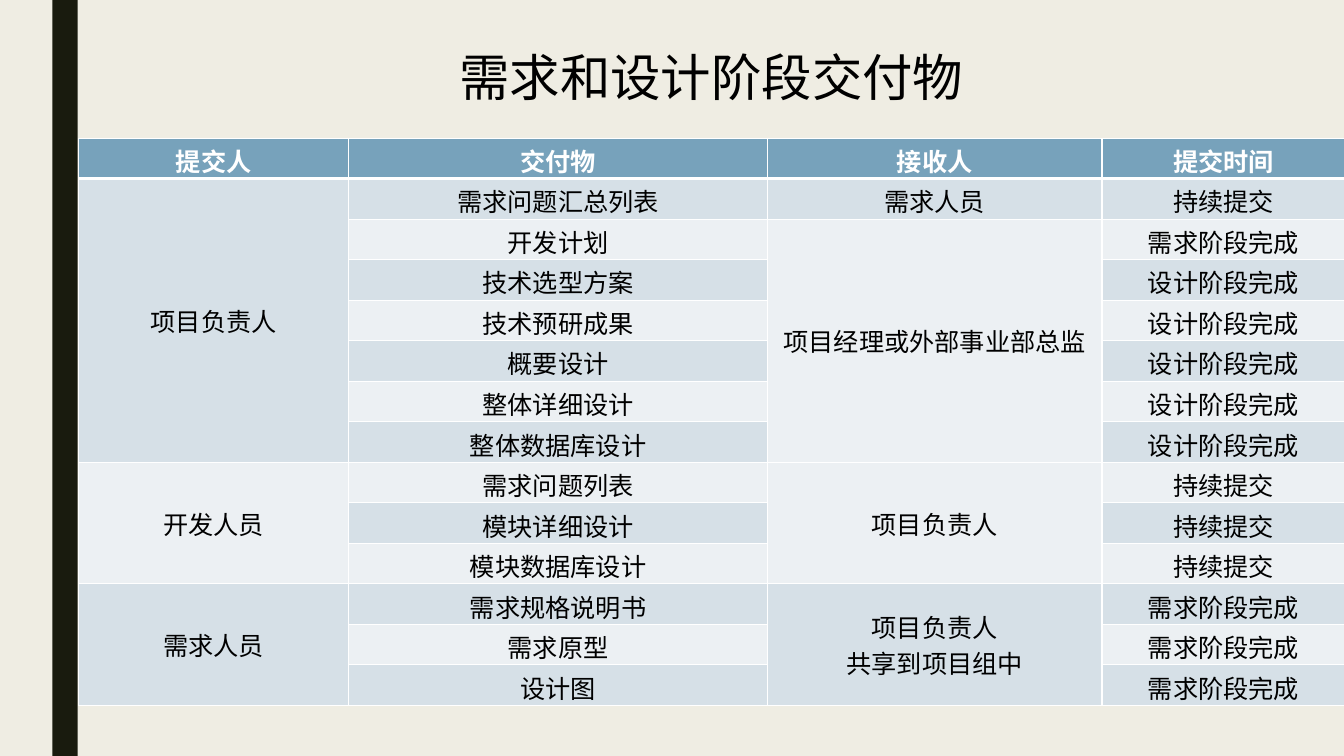
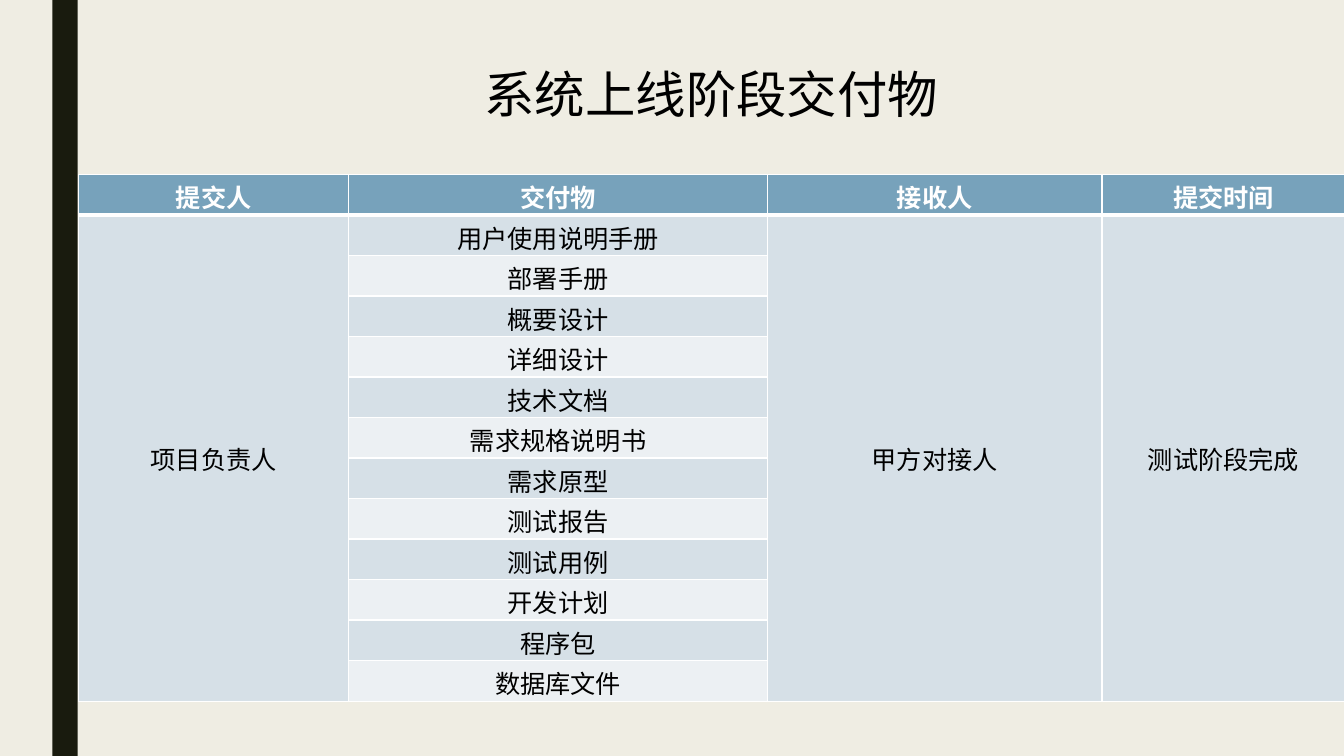
from collections import namedtuple
from dataclasses import dataclass

from lxml.etree import SubElement
from pptx import Presentation
from pptx.dml.color import RGBColor
from pptx.enum.shapes import MSO_SHAPE as Shape
from pptx.enum.text import MSO_ANCHOR as Anchor, MSO_AUTO_SIZE as AutoSize, PP_ALIGN as Align
from pptx.oxml.ns import qn
from pptx.util import Inches, Pt


@dataclass(frozen=True)
class Theme:
    background: str = "EFEDE3"
    band: str = "191B0E"
    header: str = "77A2BB"
    stripes: tuple = ("D6E0E7", "ECF0F3")
    text: str = "000000"
    white: str = "FFFFFF"
    font: str = "Karla"
    title_size: int = 36
    table_size: int = 18
    thin: int = 1
    thick: int = 3


THEME = Theme()
Box = namedtuple("Box", "left top width height")

SLIDE = Box(0, 0, 13.33, 7.5)
BAND = Box(0.52, 0, 0.25, SLIDE.height)
CONTENT_LEFT = 0.78
CONTENT_WIDTH = SLIDE.width - CONTENT_LEFT
TITLE_HEIGHT = 0.71
ROW_HEIGHT = 0.4
COLUMN_WIDTHS = (2.68, 4.15, 3.32, 2.41)
HEADERS = ("提交人", "交付物", "接收人", "提交时间")


def singles(*texts):
    return [(text, 1) for text in texts]


# Each column lists its entries as (text, number of rows)
DESIGN_COLUMNS = (
    [("项目负责人", 7), ("开发人员", 3), ("需求人员", 3)],
    singles("需求问题汇总列表", "开发计划", "技术选型方案", "技术预研成果", "概要设计",
            "整体详细设计", "整体数据库设计", "需求问题列表", "模块详细设计",
            "模块数据库设计", "需求规格说明书", "需求原型", "设计图"),
    [("需求人员", 1), ("项目经理或外部事业部总监", 6), ("项目负责人", 3),
     ("项目负责人\n共享到项目组中", 3)],
    singles("持续提交", "需求阶段完成", *["设计阶段完成"] * 5,
            *["持续提交"] * 3, *["需求阶段完成"] * 3),
)
LAUNCH_COLUMNS = (
    [("项目负责人", 12)],
    singles("用户使用说明手册", "部署手册", "概要设计", "详细设计", "技术文档",
            "需求规格说明书", "需求原型", "测试报告", "测试用例", "开发计划",
            "程序包", "数据库文件"),
    [("甲方对接人", 12)],
    [("测试阶段完成", 12)],
)


def color(value):
    return RGBColor.from_string(value)


def inches(box):
    return [Inches(length) for length in box]


def format_text(text_frame, size, text_color, bold=False):
    for paragraph in text_frame.paragraphs:
        paragraph.alignment = Align.CENTER
        for run in paragraph.runs:
            run.font.name = THEME.font
            run.font.size = Pt(size)
            run.font.bold = bold
            run.font.color.rgb = color(text_color)


def add_band(slide, box):
    band = slide.shapes.add_shape(Shape.RECTANGLE, *inches(box))
    band.shadow.inherit = False
    band.fill.solid()
    band.fill.fore_color.rgb = color(THEME.band)
    band.line.fill.background()


def place_title(slide, text, box):
    title = slide.shapes.title
    title.left, title.top, title.width, title.height = inches(box)
    frame = title.text_frame
    frame.text = text
    frame.auto_size = AutoSize.NONE
    frame.vertical_anchor = Anchor.MIDDLE
    format_text(frame, THEME.title_size, THEME.text)


def format_cell(cell, row):
    """Give the cell its borders, fill and margins according to its row."""
    properties = cell._tc.get_or_add_tcPr()
    top = THEME.thick if row == 1 else THEME.thin
    bottom = THEME.thick if row == 0 else THEME.thin
    sides = (("L", THEME.thin), ("R", THEME.thin), ("T", top), ("B", bottom))
    for side, width in sides:
        line = SubElement(properties, qn(f"a:ln{side}"), w=str(Pt(width)))
        fill = SubElement(line, qn("a:solidFill"))
        SubElement(fill, qn("a:srgbClr"), val=THEME.white)
    cell.fill.solid()
    fill_color = THEME.stripes[(row - 1) % 2] if row else THEME.header
    cell.fill.fore_color.rgb = color(fill_color)
    cell.margin_top = cell.margin_bottom = 0
    cell.vertical_anchor = Anchor.MIDDLE


def write_cell(cell, text, text_color, bold=False, span=1):
    cell.text_frame.text = text
    # Single rows hold their text slightly low
    cell.margin_top = Inches(0.04 if span == 1 else 0)
    format_text(cell.text_frame, THEME.table_size, text_color, bold)


def add_deliverables_table(slide, columns, box):
    row_count = 1 + sum(span for _, span in columns[0])
    frame = slide.shapes.add_table(row_count, len(HEADERS), *inches(box))
    table = frame.table
    for column, width in zip(table.columns, COLUMN_WIDTHS):
        column.width = Inches(width)
    for index, row in enumerate(table.rows):
        row.height = Inches(box.height / row_count)
        for cell in row.cells:
            format_cell(cell, index)

    for index, (header, entries) in enumerate(zip(HEADERS, columns)):
        write_cell(table.cell(0, index), header, THEME.white, bold=True)
        row = 1
        for text, span in entries:
            cell = table.cell(row, index)
            if span > 1:
                cell.merge(table.cell(row + span - 1, index))
            write_cell(cell, text, THEME.text, span=span)
            row += span


def add_deliverables_slide(presentation, title, columns, title_top, table_top):
    slide = presentation.slides.add_slide(presentation.slide_layouts[5])
    add_band(slide, BAND)
    place_title(slide, title, Box(CONTENT_LEFT, title_top, CONTENT_WIDTH, TITLE_HEIGHT))
    table_height = ROW_HEIGHT * (1 + len(columns[1]))
    add_deliverables_table(
        slide, columns, Box(CONTENT_LEFT, table_top, CONTENT_WIDTH, table_height))


def main():
    presentation = Presentation()
    presentation.slide_width = Inches(SLIDE.width)
    presentation.slide_height = Inches(SLIDE.height)

    # Shared background
    background = presentation.slide_master.background.fill
    background.solid()
    background.fore_color.rgb = color(THEME.background)

    add_deliverables_slide(presentation, "需求和设计阶段交付物", DESIGN_COLUMNS, 0.4, 1.37)
    add_deliverables_slide(presentation, "系统上线阶段交付物", LAUNCH_COLUMNS, 0.57, 1.73)
    presentation.save("out.pptx")


if __name__ == "__main__":
    main()
